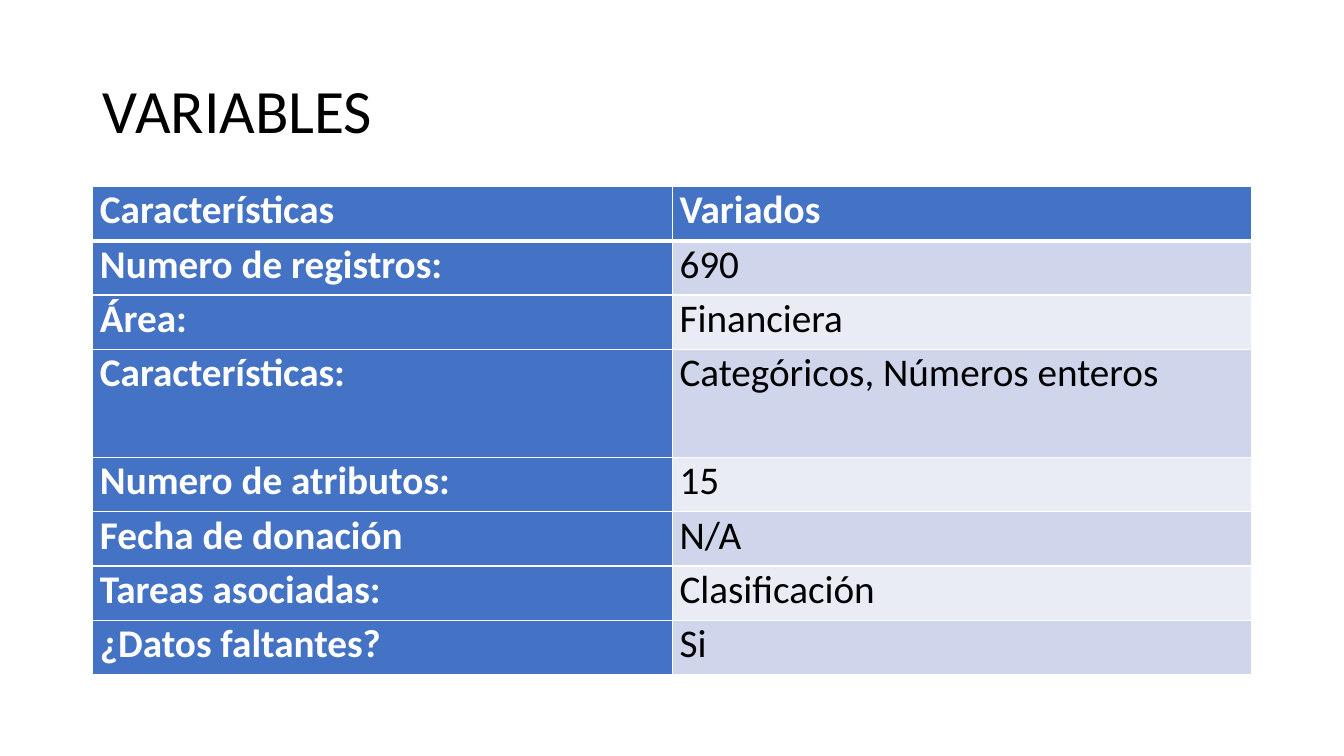
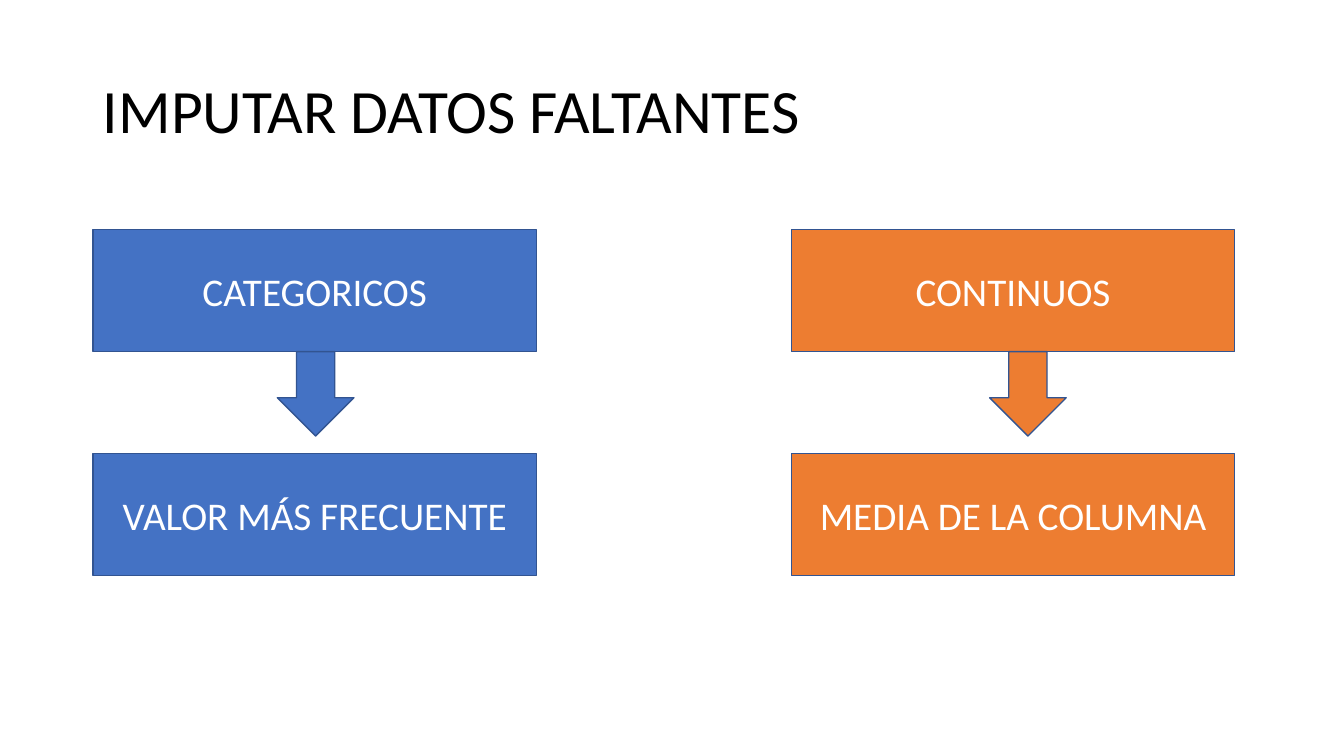
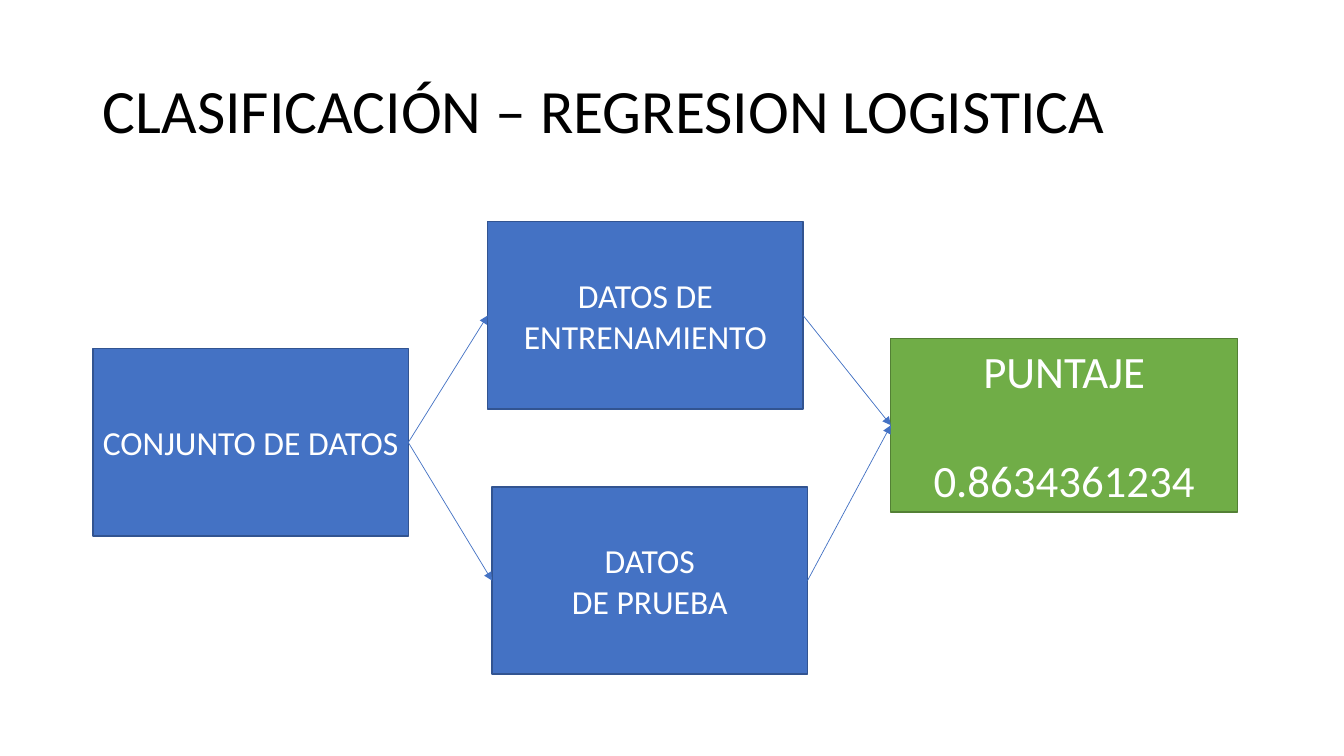
"""Build three slides on data variables, imputation and logistic regression."""
from dataclasses import dataclass

from lxml import etree
from pptx import Presentation
from pptx import util as u
from pptx.dml.color import RGBColor
from pptx.enum import shapes, text
from pptx.oxml import ns

FONT = "Calibri"
COLORS = {
    "white": "FFFFFF", "black": "000000",
    "blue": "4472C4", "navy": "325491", "orange": "ED7D31",
    "green": "70AD47", "forest": "538035",
    "band_dark": "CFD5EA", "band_light": "E9EBF5",
}
LEFT, WIDTH = 2.34, 29.21
ROW_H = 1.366
ROWS = [
    ("Características", "Variados"),
    ("Numero de registros:", "690"),
    ("Área:", "Financiera"),
    ("Características:", "Categóricos, Números enteros"),
    ("Numero de atributos:", "15"),
    ("Fecha de donación", "N/A"),
    ("Tareas asociadas:", "Clasificación"),
    ("¿Datos faltantes?", "Si"),
]
TALL_ROW = 3
RECT = shapes.MSO_SHAPE.RECTANGLE
ARROW = shapes.MSO_SHAPE.DOWN_ARROW


@dataclass
class Box:
    x: float
    y: float
    w: float
    h: float
    text: str = ""
    size: int = 24
    fill: str = "blue"
    line: str = "navy"
    kind: int = RECT
    gap: float = 0


def rgb(name: str) -> RGBColor:
    return RGBColor.from_string(COLORS[name])


def put_text(tf, content: str, *, size: int, color: str = "white", bold: bool = False,
             align=text.PP_ALIGN.CENTER, gap: float = 0, spacing: float = 1.0) -> None:
    tf.word_wrap = True
    for i, line in enumerate(content.split("\n")):
        p = tf.add_paragraph() if i else tf.paragraphs[0]
        p.alignment = align
        p.line_spacing = spacing
        p.space_before = u.Pt(gap if i else 0)
        r = p.add_run()
        r.text = line
        r.font.name, r.font.size, r.font.bold = FONT, u.Pt(size), bold
        r.font.color.rgb = rgb(color)


def add_slide(prs, title: str):
    s = prs.slides.add_slide(prs.slide_layouts.get_by_name("Title Only"))
    sp = s.shapes.title
    sp.left, sp.top, sp.width, sp.height = u.Cm(LEFT), u.Cm(1.02), u.Cm(WIDTH), u.Cm(3.68)
    tf = sp.text_frame
    tf.vertical_anchor = text.MSO_ANCHOR.MIDDLE
    tf.auto_size = text.MSO_AUTO_SIZE.NONE
    put_text(tf, title, size=44, color="black", align=text.PP_ALIGN.LEFT, spacing=0.9)
    return s


def add_box(s, box: Box):
    sp = s.shapes.add_shape(box.kind, u.Cm(box.x), u.Cm(box.y), u.Cm(box.w), u.Cm(box.h))
    sp.shadow.inherit = False
    sp.fill.solid()
    sp.fill.fore_color.rgb = rgb(box.fill)
    sp.line.color.rgb = rgb(box.line)
    sp.line.width = u.Pt(1)
    if box.text:
        sp.text_frame.vertical_anchor = text.MSO_ANCHOR.MIDDLE
        put_text(sp.text_frame, box.text, size=box.size, gap=box.gap)
    return sp


def add_arrow(s, start, end) -> None:
    c = s.shapes.add_connector(shapes.MSO_CONNECTOR.STRAIGHT, 0, 0, 0, 0)
    c.begin_connect(start, 3)
    c.end_connect(end, 1)
    c.line.color.rgb = rgb("blue")
    c.line.width = u.Pt(0.5)
    etree.SubElement(c.line._get_or_add_ln(), ns.qn("a:tailEnd"), type="triangle")
    etree.SubElement(c._element.spPr, ns.qn("a:effectLst"))


def set_borders(cell, **widths: float) -> None:
    tc_pr = cell._tc.get_or_add_tcPr()
    for i, side in enumerate("LRTB"):
        ln = etree.Element(ns.qn(f"a:ln{side}"), w=str(u.Pt(widths.get(side, 1))))
        fill = etree.SubElement(ln, ns.qn("a:solidFill"))
        etree.SubElement(fill, ns.qn("a:srgbClr"), val=COLORS["white"])
        tc_pr.insert(i, ln)


def variables_slide(prs) -> None:
    s = add_slide(prs, "VARIABLES")
    frame = s.shapes.add_table(len(ROWS), 2, u.Cm(LEFT), u.Cm(4.7), u.Cm(WIDTH),
                               u.Cm(ROW_H * (len(ROWS) + 1)))
    table = frame.table
    for i, row in enumerate(ROWS):
        table.rows[i].height = u.Cm(ROW_H * (2 if i == TALL_ROW else 1))
        for j, value in enumerate(row):
            cell = table.cell(i, j)
            heading = i == 0 or j == 0
            band = "band_dark" if i % 2 else "band_light"
            cell.fill.solid()
            cell.fill.fore_color.rgb = rgb("blue" if heading else band)
            cell.margin_left = cell.margin_right = u.Cm(0.18)
            cell.margin_top = cell.margin_bottom = 0
            set_borders(cell, T=3 if i == 1 else 1, B=3 if i == 0 else 1)
            put_text(cell.text_frame, value, size=28, bold=heading,
                     color="white" if heading else "black", align=text.PP_ALIGN.JUSTIFY)


def imputation_slide(prs) -> None:
    s = add_slide(prs, "IMPUTAR DATOS FALTANTES")
    columns = [
        (LEFT, 6.99, "blue", ("CATEGORICOS", "VALOR MÁS FRECUENTE")),
        (19.94, 24.94, "orange", ("CONTINUOS", "MEDIA DE LA COLUMNA")),
    ]
    for x, arrow_x, fill, labels in columns:
        for y, label in zip((5.79, 11.43), labels):
            add_box(s, Box(x, y, 11.18, 3.07, label, 28, fill))
        add_box(s, Box(arrow_x, 8.86, 1.93, 2.13, fill=fill, kind=ARROW))


def classification_slide(prs) -> None:
    s = add_slide(prs, "CLASIFICACIÓN – REGRESION LOGISTICA")
    w, h = 7.95, 4.72
    data = add_box(s, Box(LEFT, 8.79, w, h, "CONJUNTO DE DATOS"))
    score = add_box(s, Box(22.45, 8.53, 8.74, 4.37, "PUNTAJE\n0.8634361234", 32,
                           "green", "forest", gap=39))
    for x, y, label in [(12.29, 5.59, "DATOS DE ENTRENAMIENTO"),
                        (12.4, 12.27, "DATOS\nDE PRUEBA")]:
        subset = add_box(s, Box(x, y, w, h, label))
        add_arrow(s, data, subset)
        add_arrow(s, subset, score)


def main() -> None:
    prs = Presentation()
    prs.slide_width, prs.slide_height = u.Cm(33.87), u.Cm(19.05)
    variables_slide(prs)
    imputation_slide(prs)
    classification_slide(prs)
    prs.save("out.pptx")


if __name__ == "__main__":
    main()
